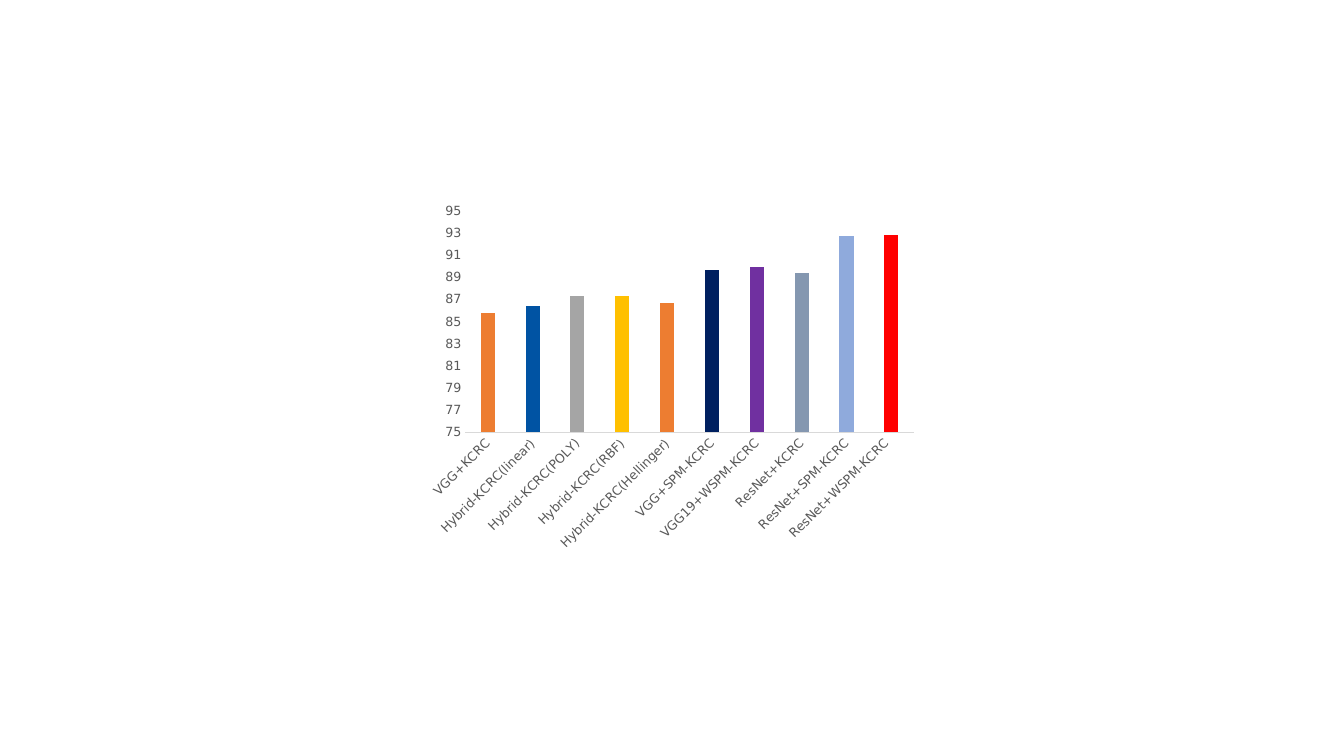
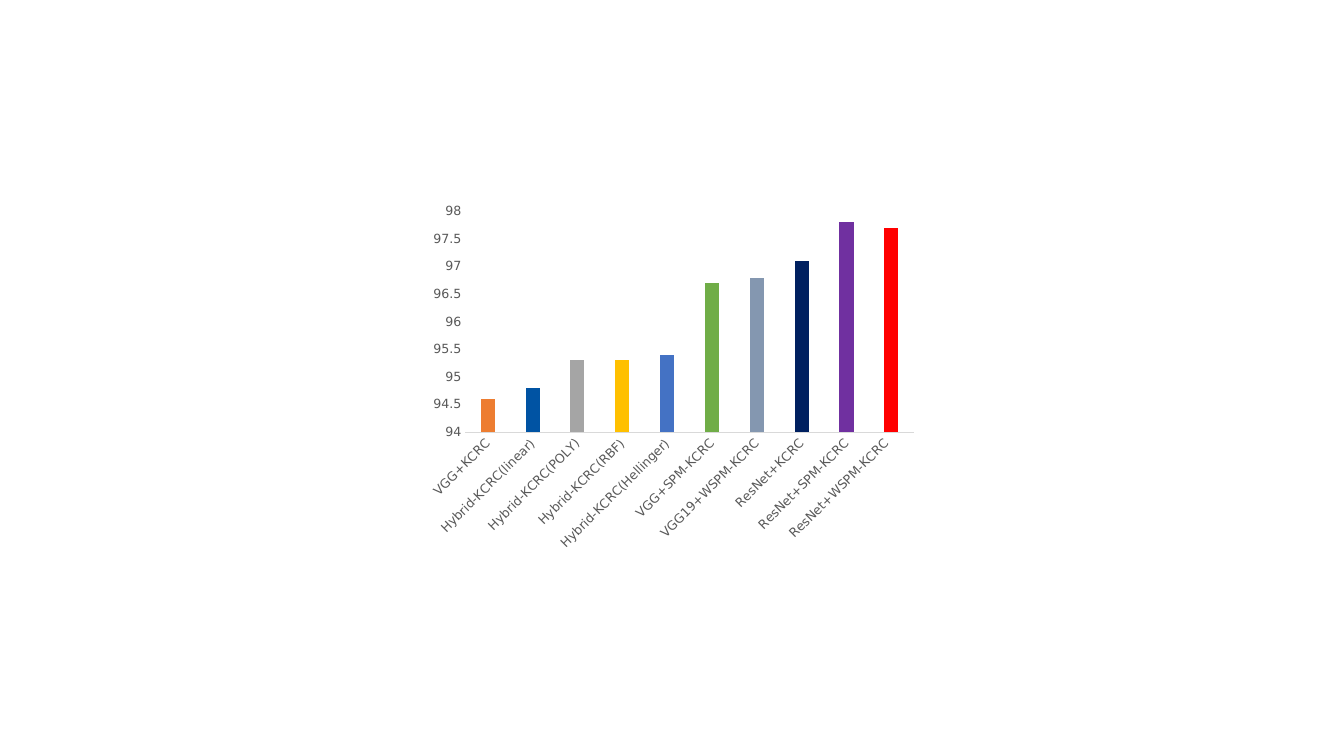
from dataclasses import dataclass

from lxml.etree import SubElement as Sub
from pptx import Presentation as Deck
from pptx.chart.data import CategoryChartData as Data
from pptx.dml.color import RGBColor as Rgb
from pptx.enum.chart import XL_CHART_TYPE as Kind, XL_TICK_MARK as Tick
from pptx.oxml.ns import qn
from pptx.util import Emu, Pt

SCALE = 914400 / 100.8


def px(num):
    return Emu(round(num * SCALE))


@dataclass(frozen=True)
class Theme:
    font: str = "DejaVu Sans"
    base: int = 10
    small: int = 9
    rule: float = 0.75
    black: str = "000000"
    text: str = "595959"
    line: str = "D9D9D9"
    orange: str = "ED7D31"
    blue: str = "0053A3"
    gray: str = "A5A5A5"
    gold: str = "FFC000"
    royal: str = "4472C4"
    green: str = "70AD47"
    navy: str = "002060"
    purple: str = "7030A0"
    slate: str = "8497B0"
    sky: str = "8FAADC"
    red: str = "FF0000"


LOOK = Theme()
NAMES = [
    "VGG+KCRC",
    "Hybrid-KCRC(linear)",
    "Hybrid-KCRC(POLY)",
    "Hybrid-KCRC(RBF)",
    "Hybrid-KCRC(Hellinger)",
    "VGG+SPM-KCRC",
    "VGG19+WSPM-KCRC",
    "ResNet+KCRC",
    "ResNet+SPM-KCRC",
    "ResNet+WSPM-KCRC\n",
]
START = [LOOK.orange, LOOK.blue, LOOK.gray, LOOK.gold]
PLOTS = [
    dict(
        vals=[85.8, 86.4, 87.3, 87.3, 86.7, 89.7, 90, 89.4, 92.8, 92.9],
        hues=START + [LOOK.orange, LOOK.navy, LOOK.purple, LOOK.slate, LOOK.sky, LOOK.red],
        low=75, high=95, step=2,
    ),
    dict(
        vals=[94.6, 94.8, 95.3, 95.3, 95.4, 96.7, 96.8, 97.1, 97.8, 97.7],
        hues=START + [LOOK.royal, LOOK.green, LOOK.slate, LOOK.navy, LOOK.purple, LOOK.red],
        low=94, high=98, step=0.5,
    ),
]


class Board:
    def __init__(self, look):
        self.look = look
        self.deck = Deck()
        self.deck.slide_width, self.deck.slide_height = px(1344), px(756)
        self.slide = None

    def page(self):
        self.slide = self.deck.slides.add_slide(self.deck.slide_layouts[6])

    def type(self, font, size, color):
        font.name, font.size = self.look.font, Pt(size)
        font.color.rgb = Rgb.from_string(color)

    def axis(self, axis):
        axis.has_major_gridlines = False
        axis.major_tick_mark = axis.minor_tick_mark = Tick.NONE
        self.type(axis.tick_labels.font, self.look.small, self.look.text)

    def place(self, chart, **frac):
        area = chart.plots[0]._element.getparent()
        for old in area.findall(qn("c:layout")):
            area.remove(old)
        box = Sub(area, qn("c:layout"))
        area.insert(0, box)
        spec = Sub(box, qn("c:manualLayout"))
        parts = dict(layoutTarget="inner", xMode="edge", yMode="edge", **frac)
        for tag, val in parts.items():
            Sub(spec, qn("c:" + tag)).set("val", str(val))

    def bars(self, left, top, width, height, vals, hues, low, high, step):
        data = Data()
        data.categories = NAMES
        data.add_series("Series 1", vals)
        chart = self.slide.shapes.add_chart(
            Kind.COLUMN_CLUSTERED, px(left), px(top), px(width), px(height), data
        ).chart
        chart.has_legend = chart.has_title = False
        self.type(chart.font, self.look.base, self.look.black)
        self.place(chart, x=0.09, y=0.04, w=0.89, h=0.61)

        cat, val = chart.category_axis, chart.value_axis
        self.axis(cat)
        self.axis(val)
        cat.format.line.color.rgb = Rgb.from_string(self.look.line)
        cat.format.line.width = Pt(self.look.rule)
        cat._element.find(qn("c:txPr")).find(qn("a:bodyPr")).set("rot", "-2700000")
        val.format.line.fill.background()
        val.minimum_scale, val.maximum_scale, val.major_unit = low, high, step
        val.tick_labels.number_format = "General"
        val.tick_labels.number_format_is_linked = False

        plot = chart.plots[0]
        plot.gap_width, plot.overlap, plot.vary_by_categories = 219, -27, False
        for spot, hue in enumerate(hues):
            fill = plot.series[0].points[spot].format.fill
            fill.solid()
            fill.fore_color.rgb = Rgb.from_string(hue)


def main():
    board = Board(LOOK)
    for plot in PLOTS:
        board.page()
        board.bars(420, 197, 504, 362, **plot)
    board.deck.save("out.pptx")


if __name__ == "__main__":
    main()
